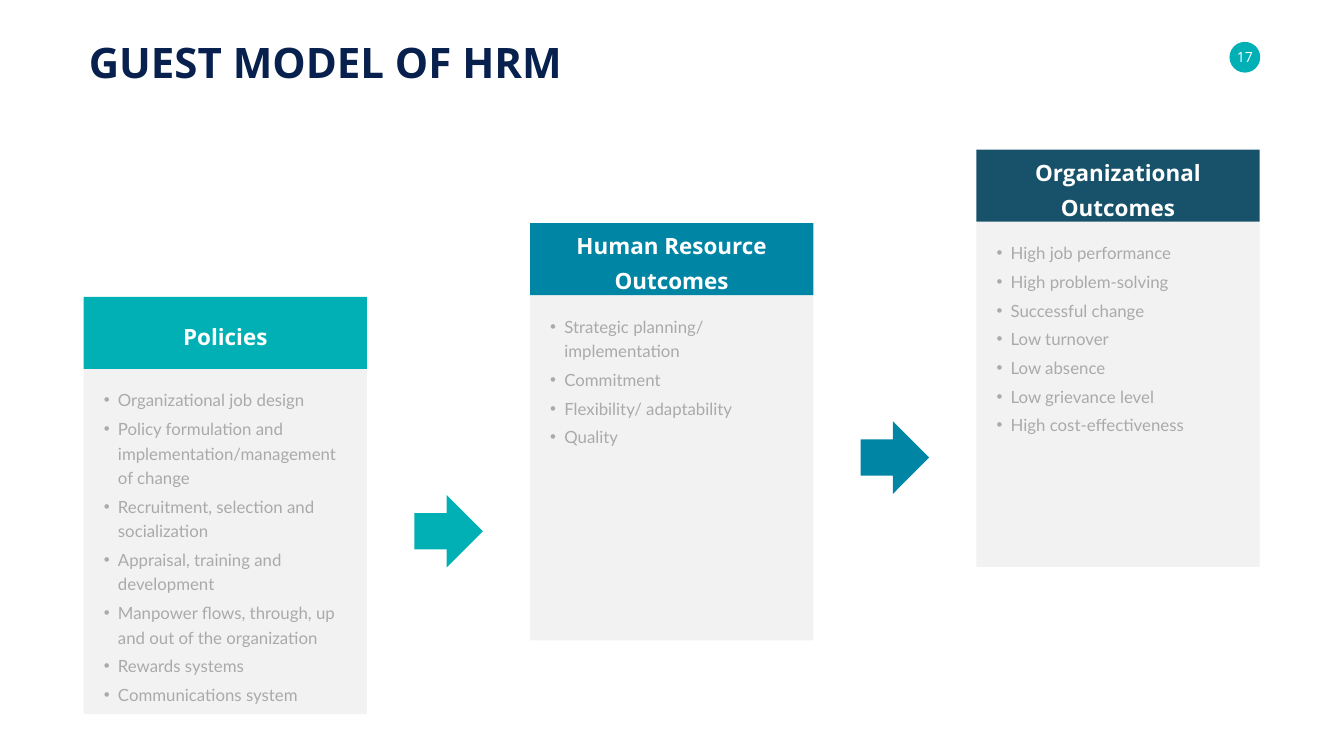
from lxml.etree import SubElement
from pptx import Presentation
from pptx.dml.color import RGBColor
from pptx.enum.shapes import MSO_SHAPE as Kind
from pptx.enum.text import MSO_ANCHOR as Anchor, MSO_AUTO_SIZE as Fit, PP_ALIGN as Align
from pptx.oxml.ns import qn
from pptx.util import Cm, Pt

NAVY = RGBColor(0x08, 0x20, 0x4D)
TEAL = RGBColor(0x00, 0xB0, 0xB5)
BLUE = RGBColor(0x00, 0x85, 0xA4)
DEEP = RGBColor(0x18, 0x52, 0x6A)
PALE = RGBColor(0xF2, 0xF2, 0xF2)
GREY = RGBColor(0xAA, 0xAA, 0xAA)
WHITE = RGBColor(0xFF, 0xFF, 0xFF)

# Font formats
TITLE = {"name": "Open Sans", "size": Pt(60), "bold": True}
HEAD = {"name": "Open Sans", "size": Pt(32), "bold": True}
ITEM = {"name": "Lato", "size": Pt(24), "bold": False}
PAGE = {"name": "Open Sans", "size": Pt(20), "bold": False}

# Text frame formats
FLUSH = {"margin_left": 0, "margin_right": 0, "margin_top": 0, "margin_bottom": 0,
         "word_wrap": False, "vertical_anchor": Anchor.MIDDLE}
OPEN = {"word_wrap": True, "vertical_anchor": Anchor.TOP, "auto_size": Fit.NONE}

# Card sizes in cm: each card stands one step to the right and higher
LEFT, TOP, WIDE = 4.22, 14.96, 14.27
BAR, PANEL = 3.63, 17.4
PITCH, RISE = 22.49, 3.71

# Heading lines, colour, list height, list items
CARDS = [
    (["Policies"], TEAL, 16.3, [
        "Organizational job design",
        "Policy formulation and implementation/management of change",
        "Recruitment, selection and socialization",
        "Appraisal, training and development",
        "Manpower flows, through, up and out of the organization",
        "Rewards systems",
        "Communications system"]),
    (["Human Resource", "Outcomes"], BLUE, 7, [
        "Strategic planning/ implementation",
        "Commitment",
        "Flexibility/ adaptability",
        "Quality"]),
    (["Organizational", "Outcomes"], DEEP, 10.1, [
        "High job performance",
        "High problem-solving",
        "Successful change",
        "Low turnover",
        "Low absence",
        "Low grievance level",
        "High cost-effectiveness"]),
]


def apply(part, form):
    for key, value in form.items():
        setattr(part, key, value)


def place(shape, x, y, w, h):
    apply(shape, {"left": Cm(x), "top": Cm(y), "width": Cm(w), "height": Cm(h)})


def draw(slide, kind, box, color):
    shape = slide.shapes.add_shape(kind, *map(Cm, box))
    shape.shadow.inherit = False
    shape.fill.solid()
    shape.fill.fore_color.rgb = color
    shape.line.fill.background()
    return shape


def write(frame, lines, font, color, align, pitch=None, gap=0, bullet=False):
    for n, line in enumerate(lines):
        para = frame.add_paragraph() if n else frame.paragraphs[0]
        apply(para, {"alignment": align, "line_spacing": pitch,
                     "space_before": Pt(gap if n else 0)})
        if bullet:
            props = para._p.get_or_add_pPr()
            props.set("marL", str(Cm(0.71)))
            props.set("indent", str(-Cm(0.71)))
            SubElement(props, qn("a:buChar")).set("char", "•")
        run = para.add_run()
        run.text = line
        apply(run.font, font)
        run.font.color.rgb = color


def add_title(slide, x, y, w, h):
    title = slide.shapes.title
    place(title, x, y, w, h)
    apply(title.text_frame, OPEN | {"word_wrap": False})
    write(title.text_frame, ["GUEST MODEL OF HRM"], TITLE, NAVY, Align.LEFT)


def add_page(slide, x, y, size):
    disc = draw(slide, Kind.OVAL, (x, y, size, size), TEAL)
    apply(disc.text_frame, FLUSH)
    write(disc.text_frame, ["17"], PAGE, WHITE, Align.CENTER)


def add_card(slide, body, x, y, head, color, tall, items):
    # Panel and heading bar
    draw(slide, Kind.RECTANGLE, (x, y + BAR, WIDE, PANEL), PALE)
    bar = draw(slide, Kind.RECTANGLE, (x, y, WIDE, BAR), color)
    apply(bar.text_frame, FLUSH)
    write(bar.text_frame, head, HEAD, WHITE, Align.CENTER, Pt(50))
    # List, brought in front of its panel
    slide.shapes._spTree.append(body._element)
    place(body, x + 0.76, y + BAR + 0.72, 12.78, tall)
    apply(body.text_frame, OPEN)
    write(body.text_frame, items, ITEM, GREY, Align.LEFT, Pt(35), 6, True)


def add_arrow(slide, x, y, color):
    arrow = draw(slide, Kind.RIGHT_ARROW, (x, y, 3.45, 3.66), color)
    arrow.adjustments[0] = 0.5
    arrow.adjustments[1] = 0.53


def main():
    deck = Presentation()
    deck.slide_width, deck.slide_height = Cm(67.72), Cm(38.1)
    slide = deck.slides.add_slide(deck.slide_layouts.get_by_name("Comparison"))
    _, *bodies = slide.placeholders

    add_title(slide, LEFT, 1.7, 24.59, 2.82)
    add_page(slide, 61.95, 2.11, 1.55)
    for n, (body, card) in enumerate(zip(bodies, CARDS)):
        x, y = LEFT + n * PITCH, TOP - n * RISE
        add_card(slide, body, x, y, *card)
        if n < len(CARDS) - 1:
            add_arrow(slide, x + WIDE + 2.39, y + 9.98, card[1])

    # Drop the placeholders without a card
    for spare in bodies[len(CARDS):]:
        slide.shapes._spTree.remove(spare._element)
    deck.save("out.pptx")


if __name__ == "__main__":
    main()
